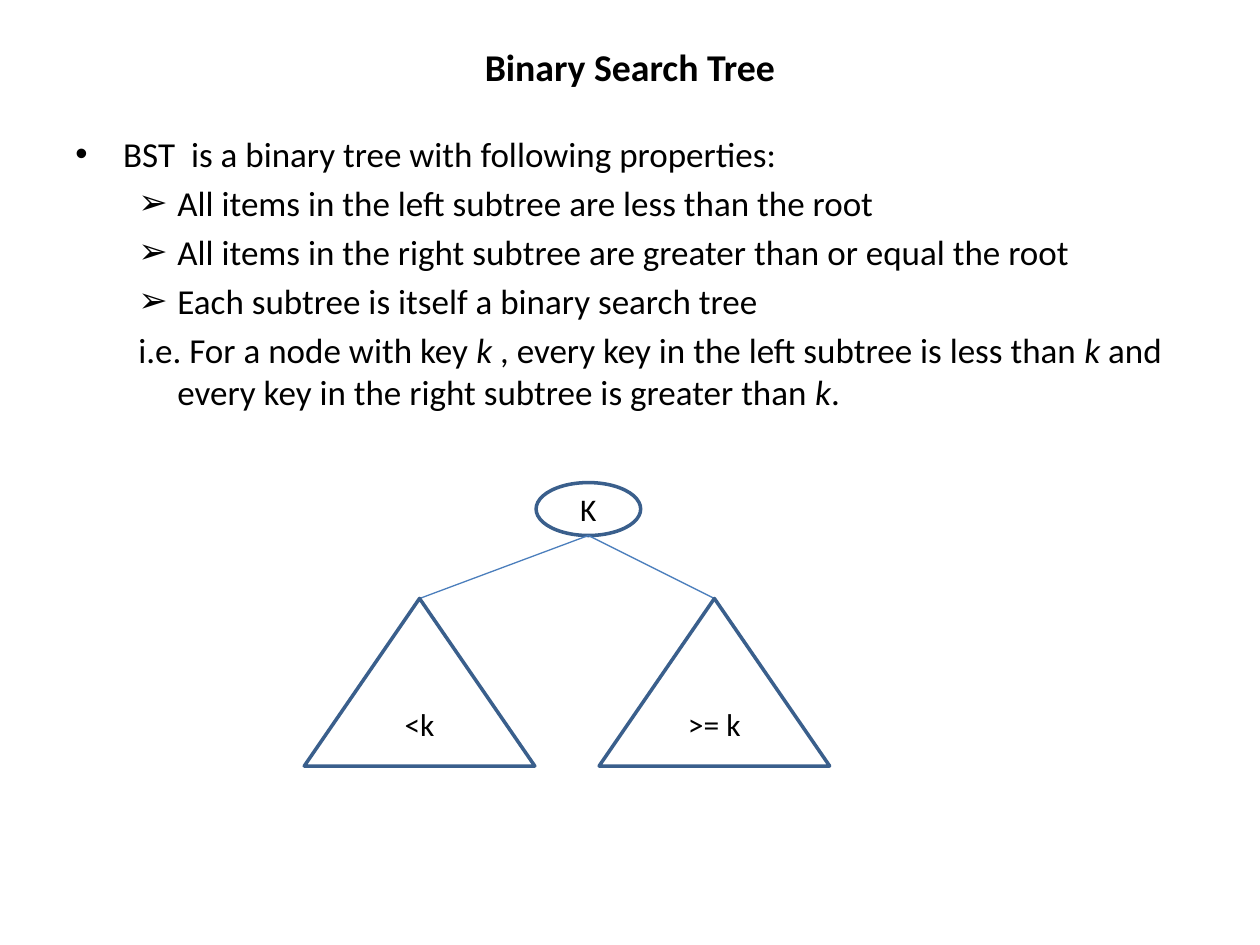
import dataclasses

import pptx
import pptx.dml.color
import pptx.enum.shapes
import pptx.enum.text
import pptx.oxml.ns
import pptx.util
import lxml.etree

Inches = pptx.util.Inches
Pt = pptx.util.Pt
Shapes = pptx.enum.shapes.MSO_SHAPE
Align = pptx.enum.text.PP_ALIGN
Anchor = pptx.enum.text.MSO_ANCHOR


@dataclasses.dataclass(frozen=True)
class Theme:
    font: str = "Calibri"
    text: str = "000000"
    background: str = "FFFFFF"
    outline: str = "3A5F8C"
    edge: str = "4B7EBC"
    title_size: float = 21.6
    body_size: float = 20
    node_size: float = 18
    paragraph_gap: float = 4
    outline_width: float = 2
    edge_width: float = 0.75


def color(value):
    return pptx.dml.color.RGBColor.from_string(value)


def add_text(paragraph, text, *, theme, size, bold=False, italic=False):
    run = paragraph.add_run()
    run.text = text
    run.font.name = theme.font
    run.font.size = Pt(size)
    run.font.bold = bold
    run.font.italic = italic
    run.font.color.rgb = color(theme.text)


def set_bullet(paragraph, character, margin, indent):
    properties = paragraph._p.get_or_add_pPr()
    properties.set("marL", str(Inches(margin)))
    properties.set("indent", str(Inches(indent)))
    qualified = pptx.oxml.ns.qn
    if character:
        lxml.etree.SubElement(properties, qualified("a:buFont"), typeface="Arial")
        lxml.etree.SubElement(properties, qualified("a:buChar"), char=character)
    else:
        lxml.etree.SubElement(properties, qualified("a:buNone"))


class SlideBuilder:
    def __init__(self, slide, theme):
        self.slide = slide
        self.theme = theme
        slide.background.fill.solid()
        slide.background.fill.fore_color.rgb = color(theme.background)

    def title(self, text, left, top, width, height):
        shape = self.slide.shapes.title
        shape.left, shape.top = Inches(left), Inches(top)
        shape.width, shape.height = Inches(width), Inches(height)
        frame = shape.text_frame
        frame.vertical_anchor = Anchor.MIDDLE
        paragraph = frame.paragraphs[0]
        paragraph.alignment = Align.CENTER
        add_text(paragraph, text, theme=self.theme, size=self.theme.title_size, bold=True)

    def body(self, items, left, top, width, height):
        box = self.slide.shapes.add_textbox(
            Inches(left), Inches(top), Inches(width), Inches(height))
        frame = box.text_frame
        frame.word_wrap = True
        for index, (level, bullet, parts) in enumerate(items):
            paragraph = frame.add_paragraph() if index else frame.paragraphs[0]
            paragraph.level = level
            paragraph.space_before = Pt(self.theme.paragraph_gap)
            margin, indent = ((0.38, -0.38), (0.81, -0.31))[level]
            set_bullet(paragraph, bullet, margin, indent)
            for position, part in enumerate(parts):
                add_text(paragraph, part, theme=self.theme,
                         size=self.theme.body_size, italic=position % 2 == 1)

    def node(self, kind, text, center, top, width, height):
        shape = self.slide.shapes.add_shape(
            kind, Inches(center - width / 2), Inches(top), Inches(width), Inches(height))
        shape.shadow.inherit = False
        shape.fill.background()
        shape.line.color.rgb = color(self.theme.outline)
        shape.line.width = Pt(self.theme.outline_width)
        frame = shape.text_frame
        frame.word_wrap = True
        frame.vertical_anchor = Anchor.MIDDLE
        paragraph = frame.paragraphs[0]
        paragraph.alignment = Align.CENTER
        add_text(paragraph, text, theme=self.theme, size=self.theme.node_size)

    def edge(self, start, end):
        connector = self.slide.shapes.add_connector(
            pptx.enum.shapes.MSO_CONNECTOR.STRAIGHT,
            *(Inches(value) for value in (*start, *end)))
        connector.line.color.rgb = color(self.theme.edge)
        connector.line.width = Pt(self.theme.edge_width)
        lxml.etree.SubElement(
            connector._element.spPr, pptx.oxml.ns.qn("a:effectLst"))


def main():
    presentation = pptx.Presentation()
    presentation.slide_width = Inches(10)
    presentation.slide_height = Inches(7.5)
    slide = presentation.slides.add_slide(presentation.slide_layouts[5])
    builder = SlideBuilder(slide, Theme())

    builder.title("Binary Search Tree", 0.5, 0.3, 9, 0.45)
    builder.body([
        (0, "•", ["BST  is a binary tree with following properties: "]),
        (1, "➢", ["All items in the left subtree are less than the root"]),
        (1, "➢", ["All items in the right subtree are greater than or equal the root"]),
        (1, "➢", ["Each subtree is itself a binary search tree"]),
        (1, None, ["i.e. For a node with key ", "k ",
                   ", every key in the left subtree is less than ", "k ",
                   "and every key in the right subtree is greater than ", "k", ". "]),
    ], 0.5, 1, 9, 2.75)

    root_center, root_top, root_height = 4.67, 3.83, 0.42
    subtree_top = 4.75
    builder.node(Shapes.OVAL, "K", root_center, root_top, 0.83, root_height)
    for text, center in (("<k", 3.33), (">= k", 5.67)):
        builder.edge((root_center, root_top + root_height), (center, subtree_top))
        builder.node(Shapes.ISOSCELES_TRIANGLE, text, center, subtree_top, 1.83, 1.33)

    presentation.save("out.pptx")


main()
